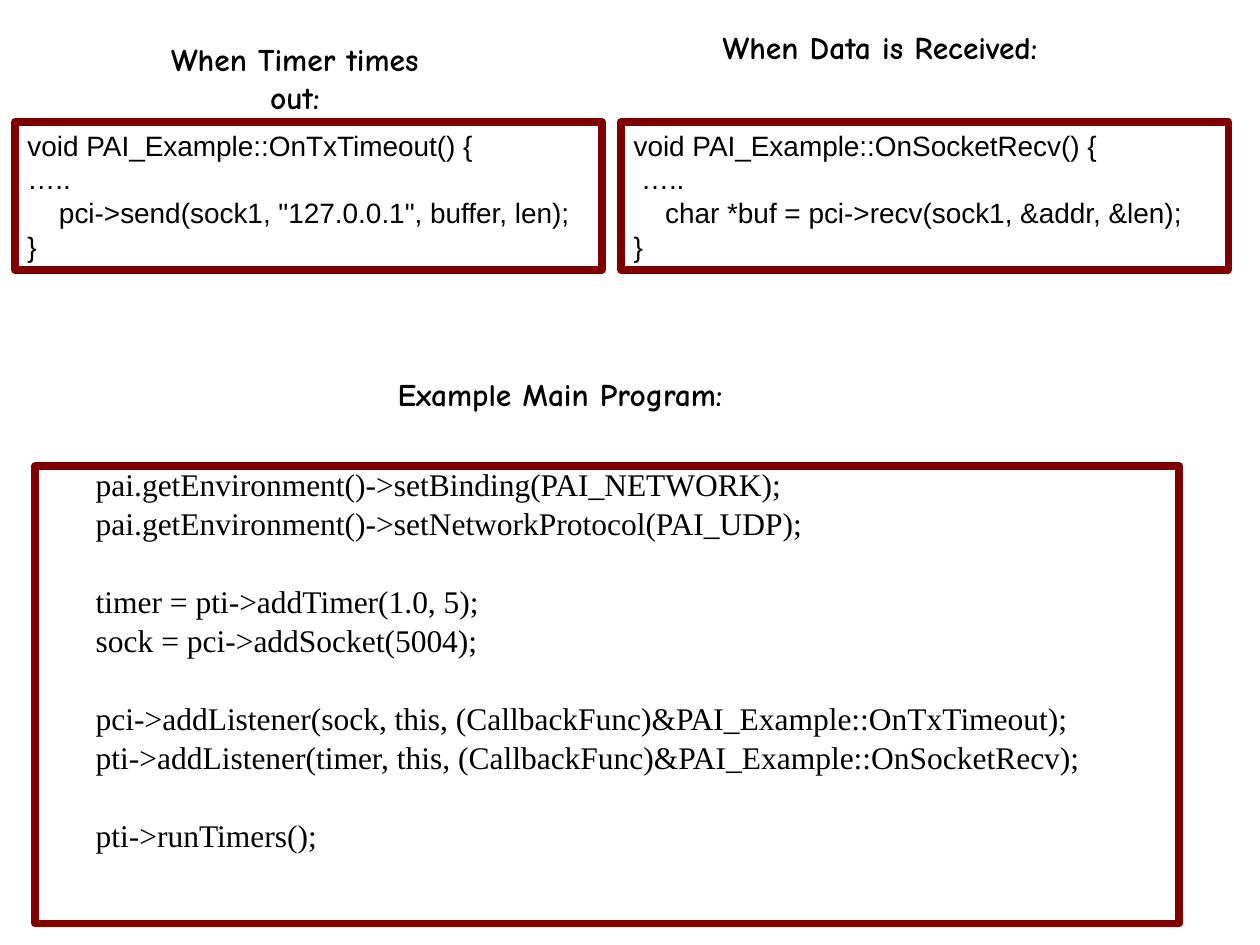
from pptx import Presentation
from pptx.dml.color import RGBColor
from pptx.enum.shapes import MSO_SHAPE
from pptx.enum.text import MSO_ANCHOR, PP_ALIGN
from pptx.util import Inches, Pt

RECTANGLE = MSO_SHAPE.RECTANGLE
TOP = MSO_ANCHOR.TOP
LEFT, CENTER = PP_ALIGN.LEFT, PP_ALIGN.CENTER
MAROON = RGBColor(0x80, 0x00, 0x00)
BLACK = RGBColor(0x00, 0x00, 0x00)

presentation = Presentation()
presentation.slide_width = Inches(10)
presentation.slide_height = Inches(7.5)
slide = presentation.slides.add_slide(presentation.slide_layouts[6])


def write_line(paragraph, text, alignment, font_format):
    paragraph.alignment = alignment
    run = paragraph.add_run()
    run.text = text
    run.font.color.rgb = BLACK
    for name, value in font_format.items():
        setattr(run.font, name, value)


def add_code_box(left, top, width, height):
    shape = slide.shapes.add_shape(
        RECTANGLE, Inches(left), Inches(top), Inches(width), Inches(height))
    shape.shadow.inherit = False
    shape.fill.background()
    shape.line.color.rgb = MAROON
    shape.line.width = Pt(4.5)
    shape.text_frame.word_wrap = True
    shape.text_frame.vertical_anchor = TOP
    return shape.text_frame


main_groups = [
    ["pai.getEnvironment()->setBinding(PAI_NETWORK);",
     "pai.getEnvironment()->setNetworkProtocol(PAI_UDP);"],
    ["timer = pti->addTimer(1.0, 5);",
     "sock = pci->addSocket(5004);"],
    ["pci->addListener(sock, this, (CallbackFunc)&PAI_Example::OnTxTimeout);",
     "pti->addListener(timer, this, (CallbackFunc)&PAI_Example::OnSocketRecv);"],
    ["pti->runTimers();"],
]
main_font = {"name": "Times New Roman", "size": Pt(18)}
main_frame = add_code_box(0.28, 3.7, 9.08, 3.63)
main_frame.margin_left = Inches(0.48)
paragraph = main_frame.paragraphs[0]
for group_index, group in enumerate(main_groups):
    for line_index, text in enumerate(group):
        starts_group = line_index == 0
        if group_index or line_index:
            paragraph = main_frame.add_paragraph()
            paragraph.space_before = Pt(27 if starts_group else 5.2)
        paragraph.line_spacing = 0.8
        write_line(paragraph, text, LEFT, main_font)

callbacks = [
    (0.12, 4.66, [
        ("void PAI_Example::OnTxTimeout() {", 0),
        ("…..", 0),
        ('pci->send(sock1, "127.0.0.1", buffer, len);', 0.25),
        ("}", 0)]),
    (4.93, 4.82, [
        ("void PAI_Example::OnSocketRecv() {", 0),
        ("…..", 0.06),
        ("char *buf = pci->recv(sock1, &addr, &len);", 0.25),
        ("}", 0)]),
]
callback_font = {"name": "Arial", "size": Pt(16)}
for left, width, lines in callbacks:
    frame = add_code_box(left, 0.97, width, 1.17)
    for index, (text, indent) in enumerate(lines):
        paragraph = frame.add_paragraph() if index else frame.paragraphs[0]
        properties = paragraph._p.get_or_add_pPr()
        properties.set("marL", str(Inches(indent)))
        write_line(paragraph, text, LEFT, callback_font)

headings = [
    ("Example Main Program:", 3.05, 2.93, 2.79),
    ("When Timer times out:", 1.02, 0.27, 2.64),
    ("When Data is Received:", 5.63, 0.17, 2.71),
]
heading_font = {"name": "Comic Neue", "size": Pt(18), "bold": True}
for text, left, top, width in headings:
    heading = slide.shapes.add_textbox(
        Inches(left), Inches(top), Inches(width), Inches(0.4))
    heading.text_frame.word_wrap = False
    write_line(heading.text_frame.paragraphs[0], text, CENTER, heading_font)

presentation.save("out.pptx")
